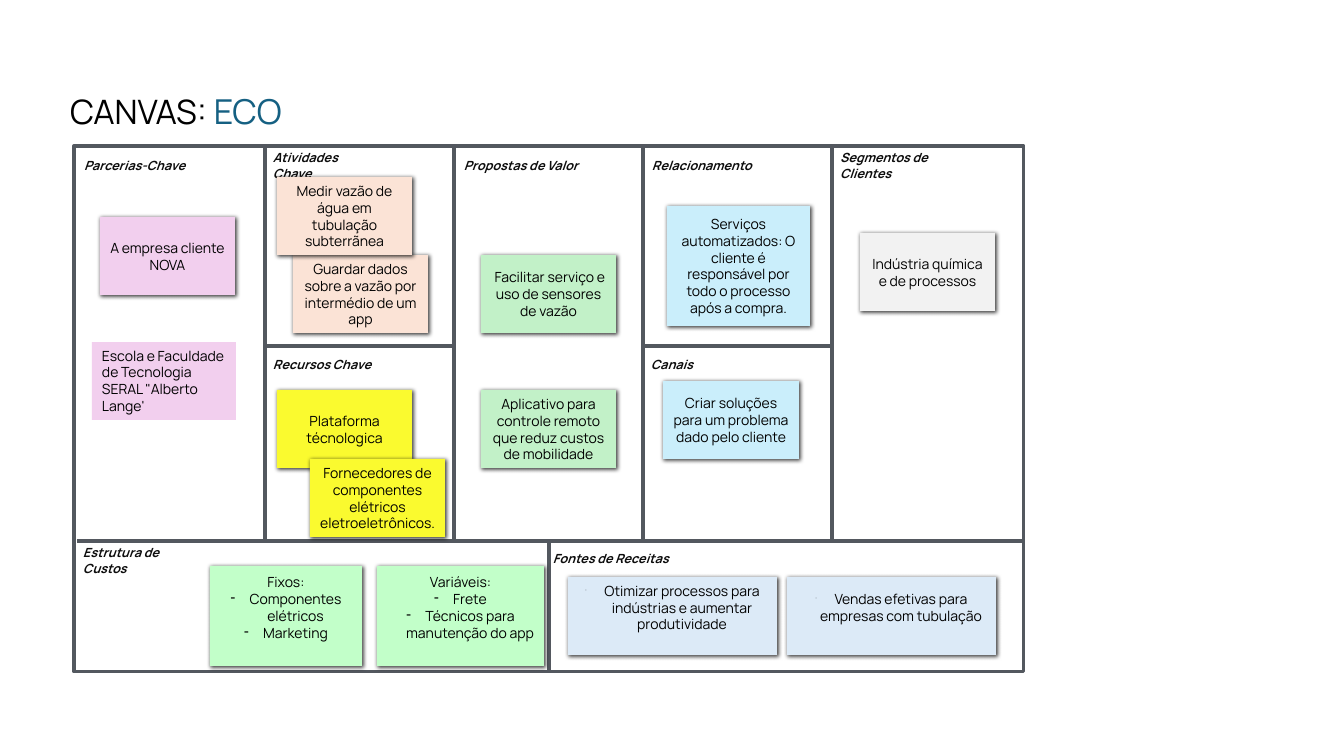
"""Build a business model canvas with sticky notes."""
from dataclasses import dataclass

from lxml.etree import SubElement
from pptx import Presentation
from pptx.dml.color import RGBColor
from pptx.enum.shapes import MSO_CONNECTOR, MSO_SHAPE
from pptx.enum.text import MSO_ANCHOR, MSO_AUTO_SIZE, PP_ALIGN
from pptx.oxml.ns import qn
from pptx.util import Emu, Pt

SCALE = 12192000 / 1344
FONT = "Manrope"
COLORS = {
    "black": "000000", "label": "0D0D0D", "accent": "156082", "line": "53585F",
    "pink": "F2CFEE", "peach": "FBE3D6", "yellow": "FAFA2F", "green": "C2F1C8",
    "mint": "C2FFC9", "cyan": "CAEEFB", "blue": "DCEAF7", "gray": "F2F2F2",
}
TOP, BOTTOM, DIVIDER, MIDDLE = 146, 672, 541, 346
COLUMNS = [265 + 189 * index for index in range(4)]
NOTE_WIDTH, NOTE_HEIGHT = 135, 78

LABELS = [
    ("Segmentos de Clientes", 835, 155, 148),
    ("Relacionamento", 647, 155, 129),
    ("Propostas de Valor", 459, 155, 125),
    ("Atividades Chave", 268, 155, 115),
    ("Parcerias-Chave", 79, 155, 148),
    ("Fontes de Receitas", 548, 548, 150),
    ("Estrutura de Custos", 78, 550, 129),
    ("Recursos Chave", 268, 354, 109),
    ("Canais", 646, 354, 117),
]


@dataclass
class Note:
    """A sticky note with an optional heading text and bulleted items."""
    color: str
    left: int
    top: int
    text: str = ""
    items: tuple = ()
    width: int = NOTE_WIDTH
    height: int = NOTE_HEIGHT
    bullet_percent: int = 100
    plain: bool = False


NOTES = [
    Note("gray", 860, 233, "Indústria química e de processos"),
    Note("green", 481, 255, " Facilitar serviço e uso de sensores de vazão"),
    Note("cyan", 663, 381, "Criar soluções para um problema dado pelo cliente", width=136),
    Note("cyan", 667, 206, "Serviços automatizados: O cliente é responsável por todo o "
         "processo após a compra.", width=143, height=120),
    Note("blue", 787, 577, items=("Vendas efetivas para empresas com tubulação",),
         width=209, bullet_percent=25),
    Note("mint", 210, 566, "Fixos:", ("Componentes elétricos", "Marketing"),
         width=152, height=100),
    Note("mint", 377, 566, "Variáveis:", ("Frete", "Técnicos para manutenção do app"),
         width=167, height=100),
    Note("yellow", 277, 390, "Plataforma técnologica"),
    Note("peach", 293, 255, "Guardar dados sobre a vazão por intermédio de um app"),
    Note("yellow", 310, 459, "Fornecedores de componentes elétricos eletroeletrônicos."),
    Note("pink", 100, 217, "A empresa cliente NOVA"),
    Note("peach", 277, 177, "Medir vazão de água em tubulação subterrãnea"),
    Note("pink", 92, 342, "Escola e Faculdade de Tecnologia SERAL \"Alberto Lange'",
         width=144, plain=True),
    Note("blue", 568, 577, items=("Otimizar processos para indústrias e aumentar "
                                  "produtividade",), width=209, bullet_percent=25),
    Note("green", 481, 390, "Aplicativo para controle remoto que reduz custos de mobilidade"),
]


def px(*lengths):
    """Turn pixel lengths into a list of EMU values."""
    return [Emu(round(length * SCALE)) for length in lengths]


def color(name):
    """Look up a named colour."""
    return RGBColor.from_string(COLORS[name])


def add_run(paragraph, text, size, color_name, **formats):
    """Add a formatted run to a paragraph."""
    run = paragraph.add_run()
    run.text = text
    for name, value in {"name": FONT, "size": Pt(size), **formats}.items():
        setattr(run.font, name, value)
    run.font.color.rgb = color(color_name)


def set_frame(frame, anchor, left, top, right, bottom):
    """Set wrapping, anchor and inner margins of a text frame."""
    margins = px(left, top, right, bottom)
    formats = {"word_wrap": True, "auto_size": MSO_AUTO_SIZE.NONE, "vertical_anchor": anchor}
    formats.update(zip(("margin_left", "margin_top", "margin_right", "margin_bottom"), margins))
    for name, value in formats.items():
        setattr(frame, name, value)


def add_title(slide):
    """Place and fill the title placeholder."""
    title = slide.shapes.title
    title.left, title.top, title.width, title.height = px(70, 90, 950, 51)
    set_frame(title.text_frame, MSO_ANCHOR.TOP, 0, 0, 0, 0)
    paragraph = title.text_frame.paragraphs[0]
    paragraph.alignment = PP_ALIGN.LEFT
    add_run(paragraph, "CANVAS:", 24, "black")
    add_run(paragraph, " ECO", 24.5, "accent")


def add_frame(slide):
    """Add the outer border of the canvas."""
    frame = slide.shapes.add_shape(MSO_SHAPE.RECTANGLE, *px(74, TOP, 950, BOTTOM - TOP))
    frame.shadow.inherit = False
    frame.fill.background()
    frame.line.color.rgb = color("line")
    frame.line.width = Pt(2.25)
    return frame


def add_line(slide, *ends):
    """Add one straight divider."""
    line = slide.shapes.add_connector(MSO_CONNECTOR.STRAIGHT, *px(*ends))
    line.line.color.rgb = color("line")
    line.line.width = Pt(2.25)
    SubElement(line._element.spPr, qn("a:effectLst"))
    return line


def add_grid(slide):
    """Draw the border and the dividers of the canvas."""
    frame = add_frame(slide)
    add_line(slide, 77, DIVIDER, 1022, DIVIDER)
    for left in COLUMNS:
        add_line(slide, left, TOP, left, DIVIDER - 2)
    for left, right in (COLUMNS[0:2], COLUMNS[2:4]):
        add_line(slide, left, MIDDLE, right, MIDDLE)
    add_line(slide, 549, BOTTOM, 549, DIVIDER).begin_connect(frame, 2)


def add_label(slide, text, left, top, width):
    """Add the heading of a canvas block."""
    box = slide.shapes.add_textbox(*px(left, top, width, 21))
    set_frame(box.text_frame, MSO_ANCHOR.MIDDLE, 5, 5, 5, 5)
    add_run(box.text_frame.paragraphs[0], text, 9, "label", bold=True, italic=True)


def add_shadow(shape):
    """Give a note its soft drop shadow."""
    effects = shape._element.spPr.find(qn("a:effectLst"))
    shadow = SubElement(effects, qn("a:outerShdw"), blurRad="38100", dist="12700",
                        dir="2700000", algn="tl", rotWithShape="0")
    tone = SubElement(shadow, qn("a:srgbClr"), val=COLORS["black"])
    SubElement(tone, qn("a:alpha"), val="75000")


def set_bullet(paragraph, percent):
    """Give a paragraph a hanging dash."""
    properties = paragraph._p.get_or_add_pPr()
    indent = px(19)[0]
    properties.set("marL", str(indent))
    properties.set("indent", str(-indent))
    SubElement(properties, qn("a:buSzPct"), val=str(percent * 1000))
    SubElement(properties, qn("a:buChar"), char="-")


def add_note(slide, note):
    """Add a sticky note with its text and list."""
    shape = slide.shapes.add_shape(
        MSO_SHAPE.RECTANGLE, *px(note.left, note.top, note.width, note.height))
    shape.shadow.inherit = False
    shape.fill.solid()
    shape.fill.fore_color.rgb = color(note.color)
    shape.line.fill.background()
    frame = shape.text_frame
    if note.plain:
        set_frame(frame, MSO_ANCHOR.TOP, 10, 5, 10, 5)
    else:
        add_shadow(shape)
        set_frame(frame, MSO_ANCHOR.MIDDLE, 10, 10, 10, 27 if note.items else 10)
    texts = [(note.text, False)] if note.text else []
    texts += [(item, True) for item in note.items]
    for index, (text, bulleted) in enumerate(texts):
        paragraph = frame.add_paragraph() if index else frame.paragraphs[0]
        paragraph.alignment = PP_ALIGN.LEFT if note.plain else PP_ALIGN.CENTER
        if bulleted:
            set_bullet(paragraph, note.bullet_percent)
        add_run(paragraph, text, 10, "black")


def main():
    """Build and save the slide."""
    presentation = Presentation()
    presentation.slide_width, presentation.slide_height = px(1344, 756)
    slide = presentation.slides.add_slide(presentation.slide_layouts[5])
    add_title(slide)
    add_grid(slide)
    for label in LABELS:
        add_label(slide, *label)
    for note in NOTES:
        add_note(slide, note)
    presentation.save("out.pptx")


if __name__ == "__main__":
    main()
